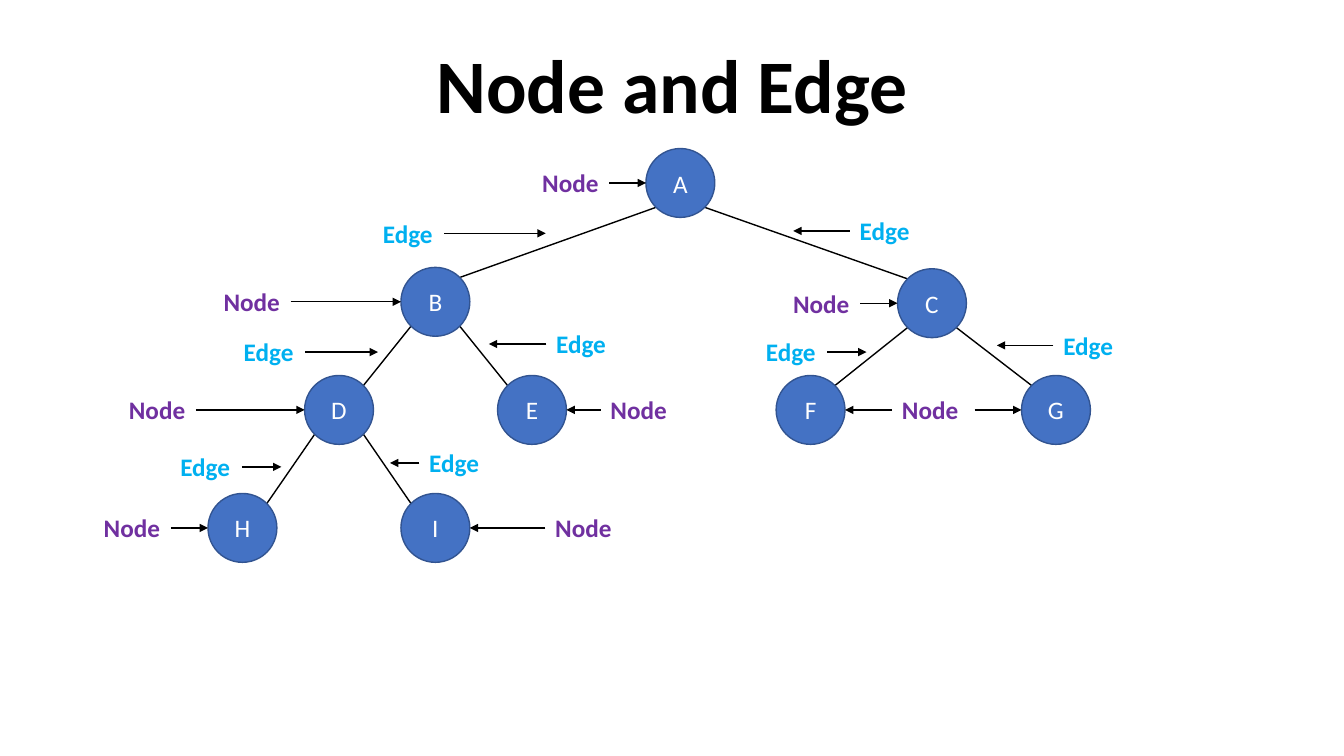
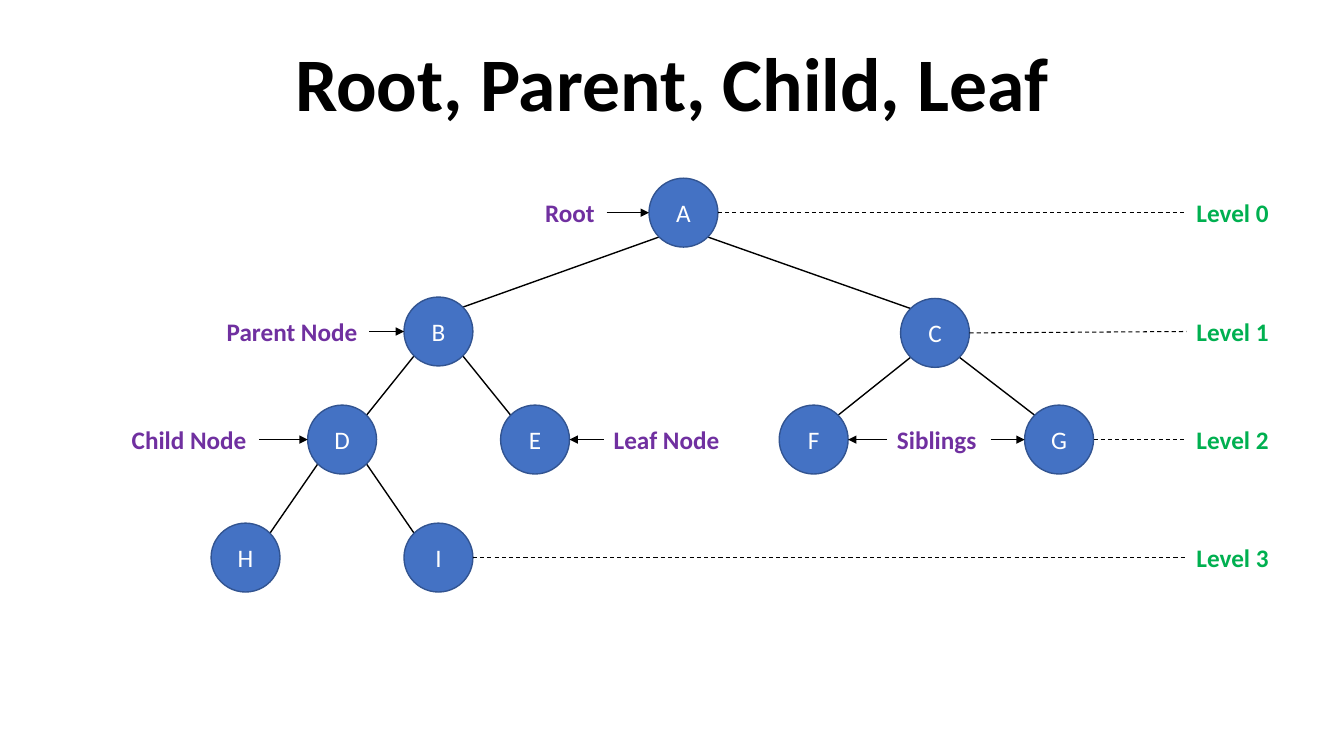
from dataclasses import dataclass
from math import cos, pi

from lxml import etree
from pptx import Presentation
from pptx import util as u
from pptx.dml.color import RGBColor
from pptx.enum import dml, shapes, text
from pptx.oxml import ns


@dataclass(frozen=True)
class Theme:
    font: str = "Calibri"
    title_size: int = 54
    body_size: int = 18
    ink: str = "000000"
    node_fill: str = "4472C4"
    node_line: str = "325491"
    node_text: str = "FFFFFF"
    role: str = "7030A0"
    edge: str = "00B0F0"
    level: str = "00B050"


THEME = Theme()

# Tree: node centres, and the children of each parent
NODES = {
    "A": (486, 130.7),
    "B": (311, 215.6), "C": (665.7, 216.6),
    "D": (242.2, 292.8), "E": (380, 292.8), "F": (579, 292.8), "G": (754.3, 292.8),
    "H": (173.2, 377.1), "I": (311, 377.1),
}
CHILDREN = {"A": "BC", "B": "DE", "C": "FG", "D": "HI"}
RADIUS = 24.6
LABEL_HEIGHT = 29
EDGE_WIDTH = 51
LEVEL_LEFT, LEVEL_WIDTH = 847.5, 67

# roles: text, left, width, nodes pointed at
# edges: left, middle, arrow tip
# levels: text, node that sets the height, node where the line starts
SLIDES = [
    {
        "title": "Node and Edge", "title_top": 39, "shift": (0, 0),
        "roles": [
            ("Node", 380.2, 55, "A"), ("Node", 152.6, 55, "B"),
            ("Node", 559.4, 55, "C"), ("Node", 85, 55, "D"),
            ("Node", 429, 55, "E"), ("Node", 637.2, 59, "FG"),
            ("Node", 67, 55, "H"), ("Node", 389.5, 55, "I"),
        ],
        "edges": [
            (266.4, 166.7, 389.8), (607, 165, 566.6),
            (167, 251.5, 270), (390.2, 245.7, 349.2),
            (540, 251.5, 619), (752.4, 246.7, 712),
            (121.7, 333.5, 201), (299.5, 330.7, 278.6),
        ],
        "levels": [],
    },
    {
        "title": "Root, Parent, Child, Leaf", "title_top": 38, "shift": (2.2, 21.2),
        "roles": [
            ("Root", 382.3, 51, "A"), ("Parent Node", 154.8, 109, "B"),
            ("Child Node", 87, 98, "D"), ("Leaf Node", 431.3, 91, "E"),
            ("Siblings", 633.6, 74, "FG"),
        ],
        "edges": [],
        "levels": [("Level 0", "A", "A"), ("Level 1", "B", "C"),
                   ("Level 2", "D", "G"), ("Level 3", "H", "I")],
    },
]


def write(para, words, size, colour, bold=False):
    span = para.add_run()
    span.text = words
    span.font.name = THEME.font
    span.font.size = u.Pt(size)
    span.font.bold = bold
    span.font.color.rgb = RGBColor.from_string(colour)


def add_title(page, words, top):
    box = page.shapes.title
    box.left, box.top, box.width, box.height = map(u.Pt, (120, top, 720, 57))
    frame = box.text_frame
    frame.auto_size = text.MSO_AUTO_SIZE.NONE
    frame.vertical_anchor = text.MSO_ANCHOR.BOTTOM
    para = frame.paragraphs[0]
    para.alignment = text.PP_ALIGN.CENTER
    para.line_spacing = 0.9
    write(para, words, THEME.title_size, THEME.ink, True)


def add_node(page, name, x, y):
    box = page.shapes.add_shape(
        shapes.MSO_SHAPE.OVAL,
        *map(u.Pt, (x - RADIUS, y - RADIUS, 2 * RADIUS, 2 * RADIUS)))
    box.shadow.inherit = False
    box.fill.solid()
    box.fill.fore_color.rgb = RGBColor.from_string(THEME.node_fill)
    box.line.color.rgb = RGBColor.from_string(THEME.node_line)
    box.line.width = u.Pt(1)
    box.text_frame.vertical_anchor = text.MSO_ANCHOR.MIDDLE
    para = box.text_frame.paragraphs[0]
    para.alignment = text.PP_ALIGN.CENTER
    write(para, name, THEME.body_size, THEME.node_text)


def add_label(page, words, left, middle, width, colour):
    box = page.shapes.add_textbox(
        *map(u.Pt, (left, middle - LABEL_HEIGHT / 2, width, LABEL_HEIGHT)))
    frame = box.text_frame
    frame.word_wrap = True
    frame.margin_right = 0
    write(frame.paragraphs[0], words, THEME.body_size, colour, True)
    return box


def add_line(page, start, end, arrow=False, dashed=False):
    line = page.shapes.add_connector(
        shapes.MSO_CONNECTOR.STRAIGHT, *map(u.Pt, (*start, *end)))
    line.line.color.rgb = RGBColor.from_string(THEME.ink)
    line.line.width = u.Pt(0.75 if dashed else 1)
    if dashed:
        line.line.dash_style = dml.MSO_LINE.DASH
    properties = line._element.spPr
    if arrow:
        outline = properties.find(ns.qn("a:ln"))
        etree.SubElement(outline, ns.qn("a:tailEnd"), type="triangle")
    etree.SubElement(properties, ns.qn("a:effectLst"))
    return line


def add_pointer(page, box, left, width, middle, tip):
    """Arrow from the side of a label that faces the tip."""
    rightward = tip[0] > left
    start = (left + width if rightward else left, middle)
    line = add_line(page, start, tip, arrow=True)
    line.begin_connect(box, 3 if rightward else 1)


def add_tree(page, centres):
    corner = RADIUS * cos(pi / 4)
    for parent, children in CHILDREN.items():
        px, py = centres[parent]
        for child in children:
            cx, cy = centres[child]
            reach = corner if cx > px else -corner
            add_line(page, (px + reach, py + corner), (cx - reach, cy - corner))
    for name, centre in centres.items():
        add_node(page, name, *centre)


def build_slide(deck, content):
    page = deck.slides.add_slide(deck.slide_layouts[5])
    add_title(page, content["title"], content["title_top"])
    dx, dy = content["shift"]
    centres = {name: (x + dx, y + dy) for name, (x, y) in NODES.items()}
    add_tree(page, centres)

    # Roles point at the facing side of their nodes
    for words, left, width, targets in content["roles"]:
        middle = centres[targets[0]][1]
        box = add_label(page, words, left, middle, width, THEME.role)
        for target in targets:
            x, y = centres[target]
            tip = (x - RADIUS if x > left else x + RADIUS, y)
            add_pointer(page, box, left, width, middle, tip)

    # Edge labels point level at their line
    for left, middle, tip in content["edges"]:
        box = add_label(page, "Edge", left, middle, EDGE_WIDTH, THEME.edge)
        add_pointer(page, box, left, EDGE_WIDTH, middle, (tip, middle))

    # Levels are joined to the last node of their row
    for words, row, last in content["levels"]:
        middle = centres[row][1]
        box = add_label(page, words, LEVEL_LEFT, middle, LEVEL_WIDTH, THEME.level)
        x, y = centres[last]
        line = add_line(page, (x + RADIUS, y), (LEVEL_LEFT, middle), dashed=True)
        line.end_connect(box, 1)


def main():
    deck = Presentation()
    deck.slide_width, deck.slide_height = u.Pt(960), u.Pt(540)
    for content in SLIDES:
        build_slide(deck, content)
    deck.save("out.pptx")


if __name__ == "__main__":
    main()
